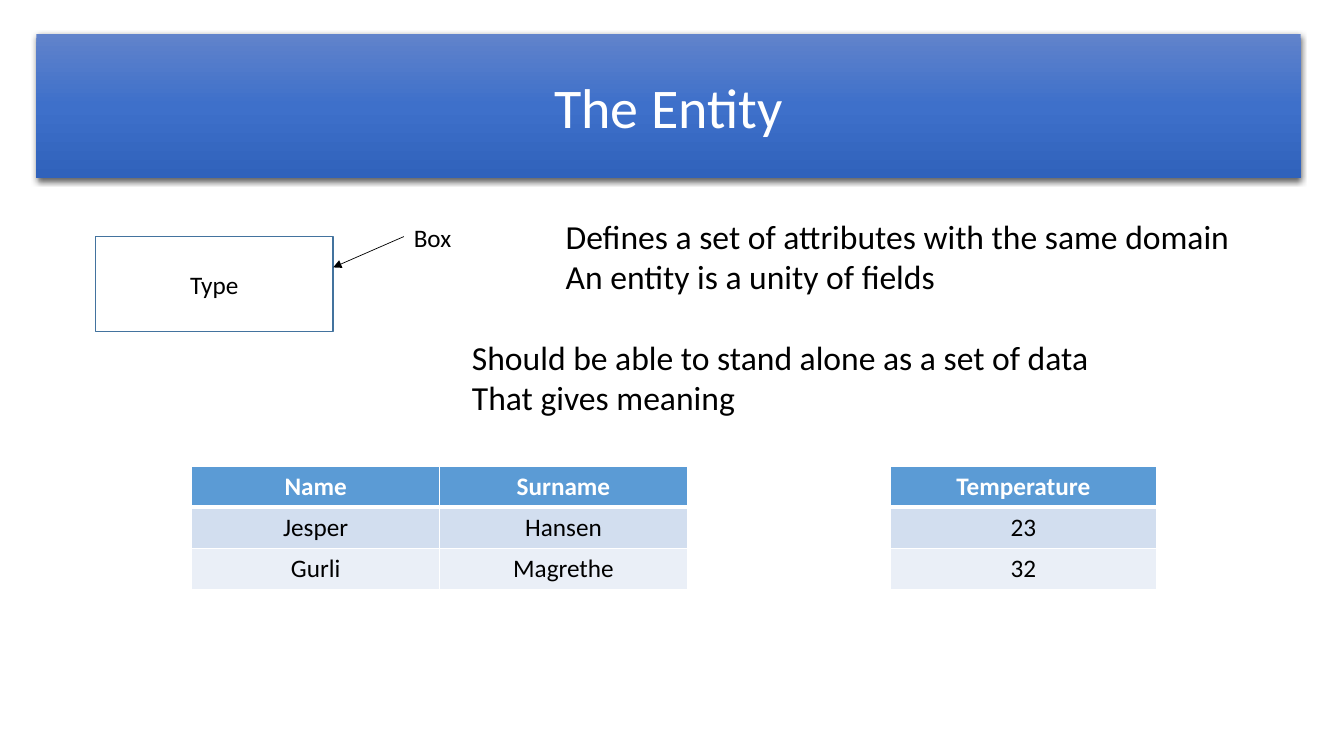
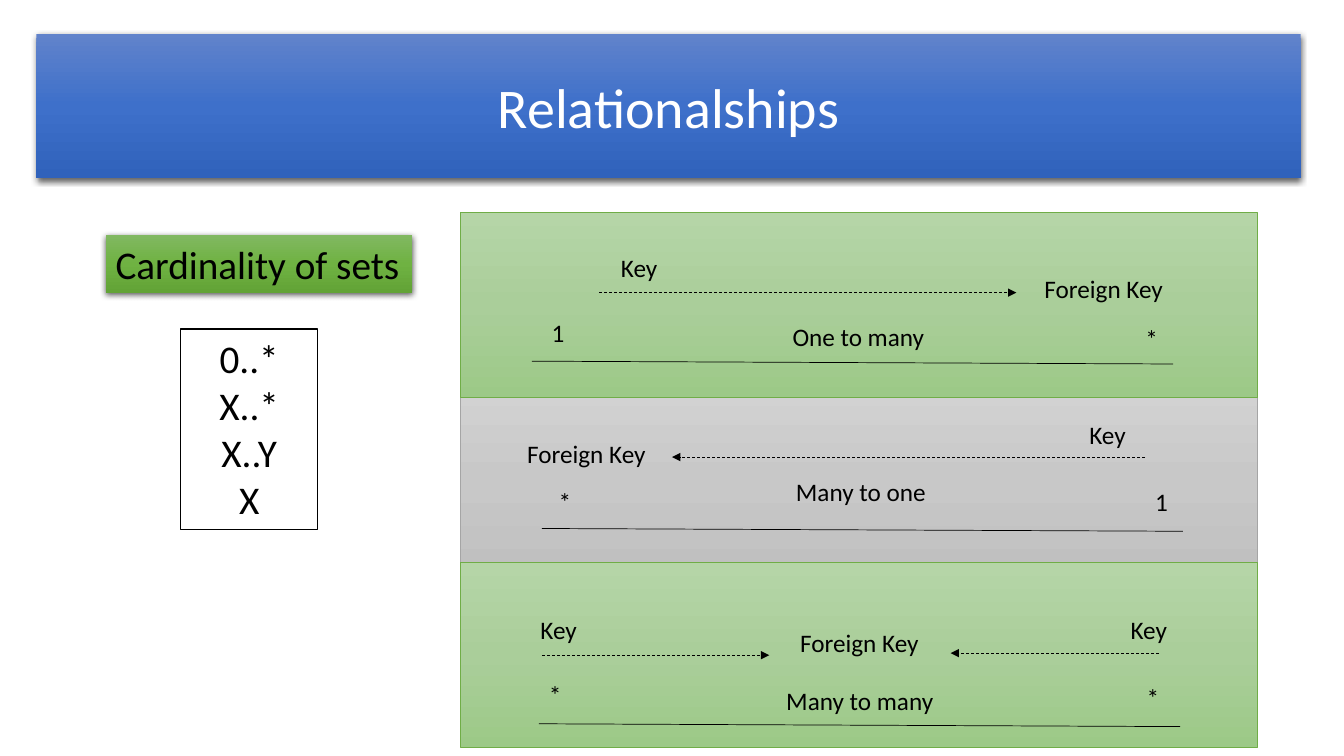
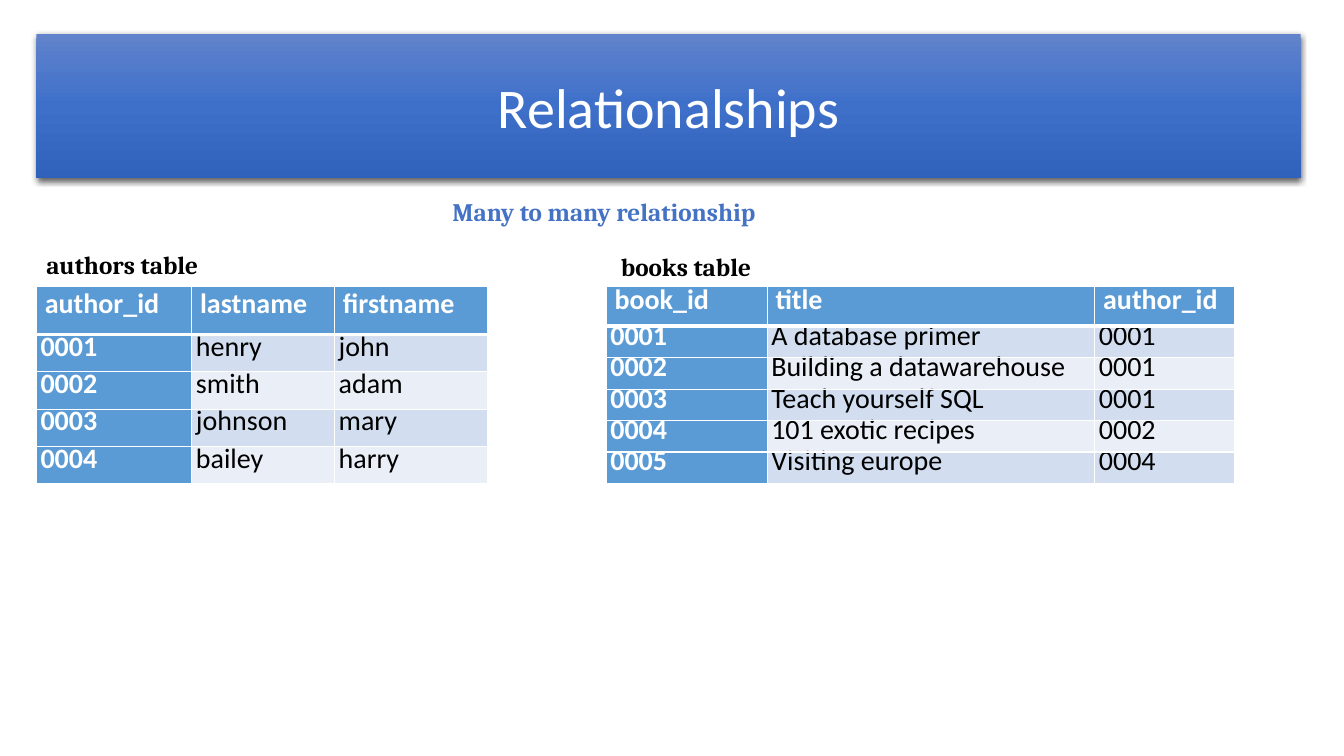
"""Build three slides on entities and relationships in a data model."""
import pptx
import pptx.util
import lxml.etree
import copy
from pptx.dml.color import RGBColor
from pptx.enum.dml import MSO_LINE
from pptx.enum.shapes import MSO_CONNECTOR, MSO_SHAPE
from pptx.enum.text import MSO_ANCHOR, MSO_AUTO_SIZE, PP_ALIGN
from pptx.oxml.ns import qn

Pt = pptx.util.Pt
COLORS = {"white": "FFFFFF", "black": "000000", "blue": "4472C4", "outline": "43739E",
          "header": "5B9BD5", "odd": "D2DEEF", "even": "EAEFF7",
          "green_line": "70AD47", "gray_line": "A5A5A5"}
GRADIENTS = {"title": ("6183CB", "3E70CA", "3062BB"),
             "badge": ("81B861", "6FB242", "62A336"),
             "green": ("B5D5A7", "AACE9A", "9CC987"),
             "gray": ("D2D2D2", "C8C8C8", "C0C0C0")}

ENTITY_NOTES = [
    ((397, 150.5, 493, 65.5), ["Defines a set of attributes with the same domain",
                               "An entity is a unity of fields"]),
    ((330, 237, 459, 65.5), ["Should be able to stand alone as a set of data",
                             "That gives meaning"])]
ENTITY_TABLES = [
    (137, (177, 177), [("Name", "Surname"), ("Jesper", "Hansen"), ("Gurli", "Magrethe")]),
    (636, (190,), [("Temperature",), ("23",), ("32",)])]

BANDS = [(1, "gray"), (2, "green"), (0, "green")]
LABEL_WIDTHS = {"Key": 41, "Foreign Key": 100, "1": 24, "*": 28, "One to many": 109.5,
                "Many to one": 108, "Many to many": 121}
LABELS = [
    ("Key", 436.5, 177), ("Foreign Key", 739, 192), ("1", 387, 223),
    ("One to many", 559, 226), ("*", 811, 227.5),
    ("Foreign Key", 369.5, 309.5), ("Key", 771, 296), ("*", 392, 344),
    ("Many to one", 561.5, 337), ("1", 818, 344),
    ("Key", 379, 435), ("Foreign Key", 564.5, 444.5), ("Key", 800.5, 435.5),
    ("*", 385, 482), ("Many to many", 554.5, 486), ("*", 812, 484)]
BASELINES = [(380, 258), (387, 377.5), (385, 517)]
KEY_ARROWS = [(428, 726, 209), (818, 480, 326.5), (387, 549.5, 468), (828, 679, 466.5)]
CARDINALITIES = ["0..*", "X..*", "X..Y", "X"]

CAPTIONS = [("authors table", (26, 173, 139, 29.5)), ("books table", (436.5, 174.5, 122, 29.5))]
RELATION_TABLES = [
    (26, 34.5, (111, 102, 109), [
        ("author_id", "lastname", "firstname"), ("0001", "henry", "john"),
        ("0002", "smith", "adam"), ("0003", "johnson", "mary"), ("0004", "bailey", "harry")]),
    (433, 28.5, (115, 234, 100), [
        ("book_id", "title", "author_id"), ("0001", "A database primer", "0001"),
        ("0002", "Building a datawarehouse", "0001"), ("0003", "Teach yourself SQL", "0001"),
        ("0004", "101 exotic recipes", "0002"), ("0005", "Visiting europe", "0004")])]


def rgb(name):
    return RGBColor.from_string(COLORS.get(name, name))


def write(tf, lines, size, color="black", font="Calibri", bold=False, align=None, spacing=None):
    tf.text = "\n".join(lines)
    for p in tf.paragraphs:
        p.alignment = align
        p.line_spacing = spacing
        for r in p.runs:
            r.font.size, r.font.name, r.font.bold = Pt(size), font, bold
            r.font.color.rgb = rgb(color)


def textbox(s, box, lines, size, **style):
    tf = s.shapes.add_textbox(*map(Pt, box)).text_frame
    write(tf, lines, size, **style)
    tf.word_wrap = False
    tf.auto_size = MSO_AUTO_SIZE.SHAPE_TO_FIT_TEXT


def rectangle(s, box, fill=None, line=None, width=1, shadow=False):
    sp = s.shapes.add_shape(MSO_SHAPE.RECTANGLE, *map(Pt, box))
    sp.shadow.inherit = False
    spPr = sp._element.spPr
    if fill in GRADIENTS:
        sp.fill.gradient()
        sp.fill.gradient_angle = 270
        stops = spPr.find(".//" + qn("a:gsLst"))
        stops.append(copy.deepcopy(stops[0]))
        for i, (stop, color) in enumerate(zip(sp.fill.gradient_stops, GRADIENTS[fill])):
            stop.position = i / 2
            stop.color.rgb = rgb(color)
    elif fill:
        sp.fill.solid()
        sp.fill.fore_color.rgb = rgb(fill)
    else:
        sp.fill.background()
    if line:
        sp.line.color.rgb = rgb(line)
        sp.line.width = Pt(width)
    else:
        sp.line.fill.background()
    if shadow:
        outer = lxml.etree.SubElement(
            spPr.find(qn("a:effectLst")), qn("a:outerShdw"), blurRad=str(Pt(4.5)),
            dist=str(Pt(1.5)), dir="5400000", algn="ctr", rotWithShape="0")
        color = lxml.etree.SubElement(outer, qn("a:srgbClr"), val=COLORS["black"])
        lxml.etree.SubElement(color, qn("a:alpha"), val="63000")
    return sp


def connect(s, x1, y1, x2, y2, arrow=False, dash=False):
    c = s.shapes.add_connector(MSO_CONNECTOR.STRAIGHT, *map(Pt, (x1, y1, x2, y2)))
    c.line.color.rgb = rgb("black")
    c.line.width = Pt(0.5)
    if dash:
        c.line.dash_style = MSO_LINE.DASH
    spPr = c._element.spPr
    if arrow:
        lxml.etree.SubElement(spPr.find(qn("a:ln")), qn("a:tailEnd"), type="triangle")
    lxml.etree.SubElement(spPr, qn("a:effectLst"))


def set_borders(cell, row):
    tcPr = cell._tc.get_or_add_tcPr()
    widths = {"L": 1, "R": 1, "T": 3 if row == 1 else 1, "B": 3 if row == 0 else 1}
    for side, width in widths.items():
        ln = lxml.etree.SubElement(tcPr, qn("a:ln" + side), w=str(Pt(width)))
        fill = lxml.etree.SubElement(ln, qn("a:solidFill"))
        lxml.etree.SubElement(fill, qn("a:srgbClr"), val=COLORS["white"])


def table(s, x, y, height, header, cols, rows, size, compact=False, **style):
    body = (height - header) / (len(rows) - 1)
    t = s.shapes.add_table(len(rows), len(cols), Pt(x), Pt(y), Pt(sum(cols)), Pt(height)).table
    for col, width in zip(t.columns, cols):
        col.width = Pt(width)
    for i, row in enumerate(rows):
        t.rows[i].height = Pt(body if i else header)
        for j, text in enumerate(row):
            cell = t.cell(i, j)
            strong = i == 0 or (compact and j == 0)
            set_borders(cell, i)
            cell.fill.solid()
            cell.fill.fore_color.rgb = rgb("header" if strong else "odd" if i % 2 else "even")
            if compact:
                cell.vertical_anchor = MSO_ANCHOR.MIDDLE
                inset = Pt(3 if i else 6)
                cell.margin_left = cell.margin_right = inset
                cell.margin_top = cell.margin_bottom = inset
            write(cell.text_frame, [text], size, color="white" if strong else "black",
                  bold=strong, **style)


def add_title(s, text):
    sp = rectangle(s, (26, 24, 903, 103), "title", shadow=True)
    sp.text_frame.vertical_anchor = MSO_ANCHOR.MIDDLE
    write(sp.text_frame, [text], 40, color="white", align=PP_ALIGN.CENTER)


def entity_slide(s):
    add_title(s, "The Entity")
    for box, lines in ENTITY_NOTES:
        textbox(s, box, lines, 24)
    sp = rectangle(s, (68, 169, 170, 68), "white", "outline")
    write(sp.text_frame, ["Type"], 18, align=PP_ALIGN.CENTER)
    textbox(s, (288.5, 155, 42, 29), ["Box"], 18)
    connect(s, 288.5, 169, 238, 191, arrow=True)
    for x, cols, rows in ENTITY_TABLES:
        table(s, x, 333, 88, 88 / 3, cols, rows, 18, align=PP_ALIGN.CENTER)


def cardinality_slide(s):
    for i, color in BANDS:
        rectangle(s, (329, 152 + 125 * i, 569, 132), color, color + "_line", 0.5)
    add_title(s, "Relationalships")
    sp = rectangle(s, (75.5, 168, 219, 41), "badge", shadow=True)
    write(sp.text_frame, ["Cardinality of sets"], 28, align=PP_ALIGN.LEFT)
    sp.text_frame.word_wrap = False
    sp.text_frame.vertical_anchor = MSO_ANCHOR.TOP
    for x, y in BASELINES:
        connect(s, x, y, x + 458, y + 2)
    for text, x, y in LABELS:
        textbox(s, (x, y, LABEL_WIDTHS[text], 29), [text], 18)
    for x1, x2, y in KEY_ARROWS:
        connect(s, x1, y, x2, y, arrow=True, dash=True)
    sp = rectangle(s, (129, 235, 98, 143), line="black", width=0.75)
    sp.text_frame.vertical_anchor = MSO_ANCHOR.TOP
    write(sp.text_frame, CARDINALITIES, 28, align=PP_ALIGN.CENTER)


def many_to_many_slide(s):
    add_title(s, "Relationalships")
    textbox(s, (316, 137, 266, 29), ["Many to many relationship"], 18,
            color="blue", font="Cambria", bold=True)
    for x, header, cols, rows in RELATION_TABLES:
        table(s, x, 204.5, 141, header, cols, rows, 20, compact=True, spacing=Pt(15.4))
    for text, box in CAPTIONS:
        textbox(s, box, [text], 18, font="Cambria", bold=True, spacing=1.07)


def main():
    prs = pptx.Presentation()
    prs.slide_width, prs.slide_height = Pt(960), Pt(540)
    for build in (entity_slide, cardinality_slide, many_to_many_slide):
        build(prs.slides.add_slide(prs.slide_layouts[6]))
    prs.save("out.pptx")


if __name__ == "__main__":
    main()
